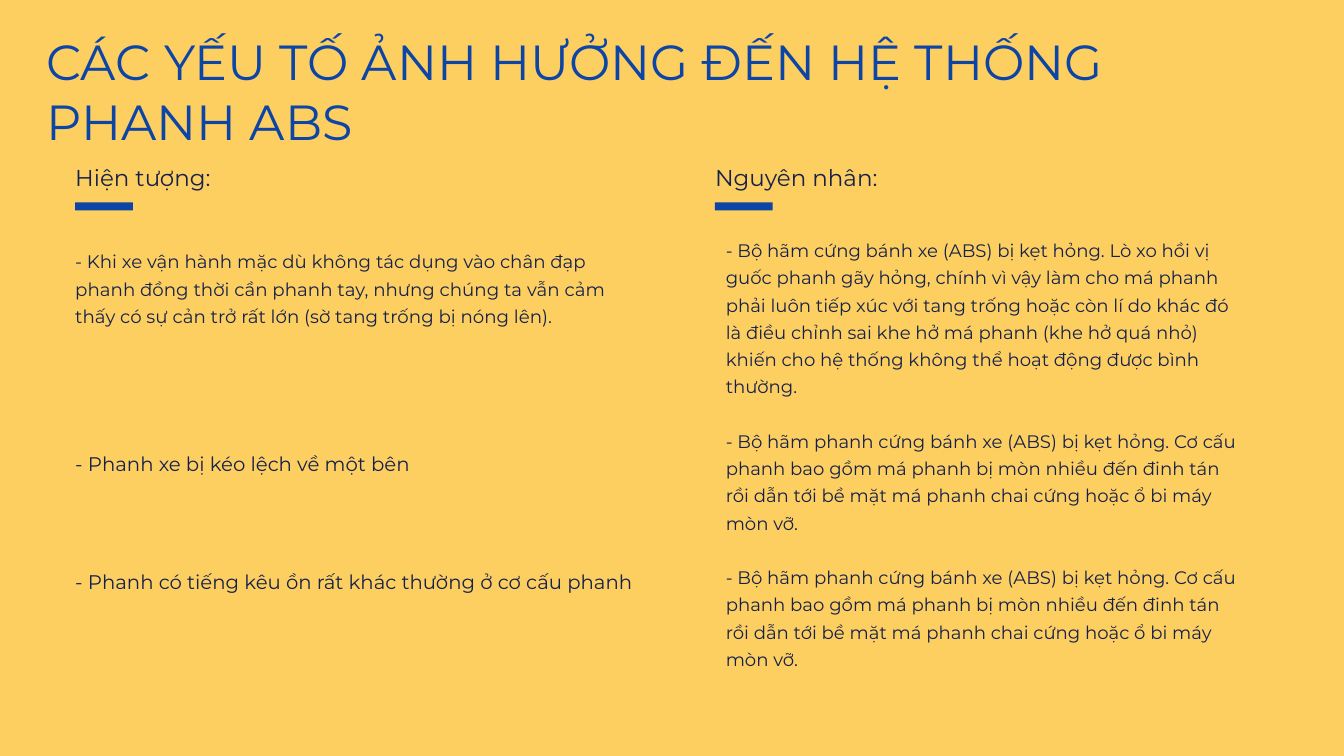
"""Build the slide on the factors that affect an ABS braking system."""
from typing import NamedTuple

from lxml.etree import SubElement
from pptx import Presentation
from pptx.dml.color import RGBColor
from pptx.enum.shapes import MSO_SHAPE
from pptx.enum.text import MSO_ANCHOR, MSO_AUTO_SIZE, PP_ALIGN
from pptx.oxml.ns import qn
from pptx.shapes.placeholder import SlidePlaceholder
from pptx.slide import Slide
from pptx.util import Pt

YELLOW = RGBColor(0xFD, 0xCF, 0x60)
BLUE = RGBColor(0x0C, 0x45, 0xA6)
NAVY = RGBColor(0x16, 0x21, 0x4B)
FONT = "Montserrat"
COMPARISON_LAYOUT = 4


class Box(NamedTuple):
    left: float
    top: float
    width: float
    height: float


class Entry(NamedTuple):
    text: str
    size: float
    leading: float
    gap: float = 0


class Column(NamedTuple):
    left: float
    heading: str
    body: Box
    entries: list[Entry]


WORN_PARTS = (
    "- Bộ hãm phanh cứng bánh xe (ABS) bị kẹt hỏng. Cơ cấu phanh bao gồm má phanh "
    "bị mòn nhiều đến đinh tán rồi dẫn tới bề mặt má phanh chai cứng hoặc ổ bi máy mòn vỡ."
)
STUCK_LOCK = (
    "- Bộ hãm cứng bánh xe (ABS) bị kẹt hỏng. Lò xo hồi vị guốc phanh gãy hỏng, "
    "chính vì vậy làm cho má phanh phải luôn tiếp xúc với tang trống hoặc còn lí do "
    "khác đó là điều chỉnh sai khe hở má phanh (khe hở quá nhỏ) khiến cho hệ thống "
    "không thể hoạt động được bình thường."
)
DRAG = (
    "- Khi xe vận hành mặc dù không tác dụng vào chân đạp phanh đồng thời cần phanh "
    "tay, nhưng chúng ta vẫn cảm thấy có sự cản trở rất lớn (sờ tang trống bị nóng lên)."
)
TITLE = Entry("CÁC YẾU TỐ ẢNH HƯỞNG ĐẾN HỆ THỐNG PHANH ABS", 52.8, 63.4)
COLUMNS = [
    Column(80.6, "Hiện tượng:", Box(80.6, 262.8, 611.3, 403.9), [
        Entry(DRAG, 19.5, 29.2),
        Entry("- Phanh xe bị kéo lệch về một bên", 21.1, 31.7, 4 * 31.7),
        Entry("- Phanh có tiếng kêu ồn rất khác thường ở cơ cấu phanh", 21.1, 31.7, 3 * 31.7),
    ]),
    Column(766.1, "Nguyên nhân:", Box(777.6, 250.6, 553.7, 495.4), [
        Entry(STUCK_LOCK, 19.4, 29.2),
        Entry(WORN_PARTS, 19.4, 29.2, 29.2),
        Entry(WORN_PARTS, 19.4, 29.2, 29.2),
    ]),
]


def fill_placeholder(
    placeholder: SlidePlaceholder, box: Box, entries: list[Entry], color: RGBColor
) -> None:
    """Move a placeholder and write its entries as plain, left-aligned paragraphs."""
    placeholder.left, placeholder.top, placeholder.width, placeholder.height = map(Pt, box)
    frame = placeholder.text_frame
    frame.margin_left = frame.margin_top = frame.margin_right = frame.margin_bottom = 0
    frame.word_wrap = True
    frame.auto_size = MSO_AUTO_SIZE.NONE
    frame.vertical_anchor = MSO_ANCHOR.TOP
    frame.text = "\n".join(entry.text for entry in entries)
    for paragraph, entry in zip(frame.paragraphs, entries):
        properties = paragraph._p.get_or_add_pPr()
        properties.set("marL", "0")
        properties.set("indent", "0")
        SubElement(properties, qn("a:buNone"))
        paragraph.alignment = PP_ALIGN.LEFT
        paragraph.line_spacing = Pt(entry.leading)
        paragraph.space_before = Pt(entry.gap)
        paragraph.font.name = FONT
        paragraph.font.size = Pt(entry.size)
        paragraph.font.bold = False
        paragraph.font.color.rgb = color


def add_accent(slide: Slide, left: float) -> None:
    """Draw the short bar under a column heading."""
    accent = slide.shapes.add_shape(
        MSO_SHAPE.RECTANGLE, Pt(left), Pt(216.7), Pt(61.9), Pt(8.6)
    )
    accent.shadow.inherit = False
    accent.fill.solid()
    accent.fill.fore_color.rgb = BLUE
    accent.line.fill.background()


def main() -> None:
    """Assemble and save the slide."""
    deck = Presentation()
    deck.slide_width, deck.slide_height = Pt(1440), Pt(810)
    slide = deck.slides.add_slide(deck.slide_layouts[COMPARISON_LAYOUT])
    slide.background.fill.solid()
    slide.background.fill.fore_color.rgb = YELLOW

    title, *column_parts = slide.placeholders
    fill_placeholder(title, Box(49.7, 33.8, 1252, 126), [TITLE], BLUE)
    for column, heading, body in zip(COLUMNS, column_parts[::2], column_parts[1::2]):
        heading_box = Box(column.left, 170.6, 276.5, 33.1)
        fill_placeholder(heading, heading_box, [Entry(column.heading, 24.6, 34.5)], NAVY)
        fill_placeholder(body, column.body, column.entries, NAVY)
        add_accent(slide, column.left)

    deck.save("out.pptx")


if __name__ == "__main__":
    main()
